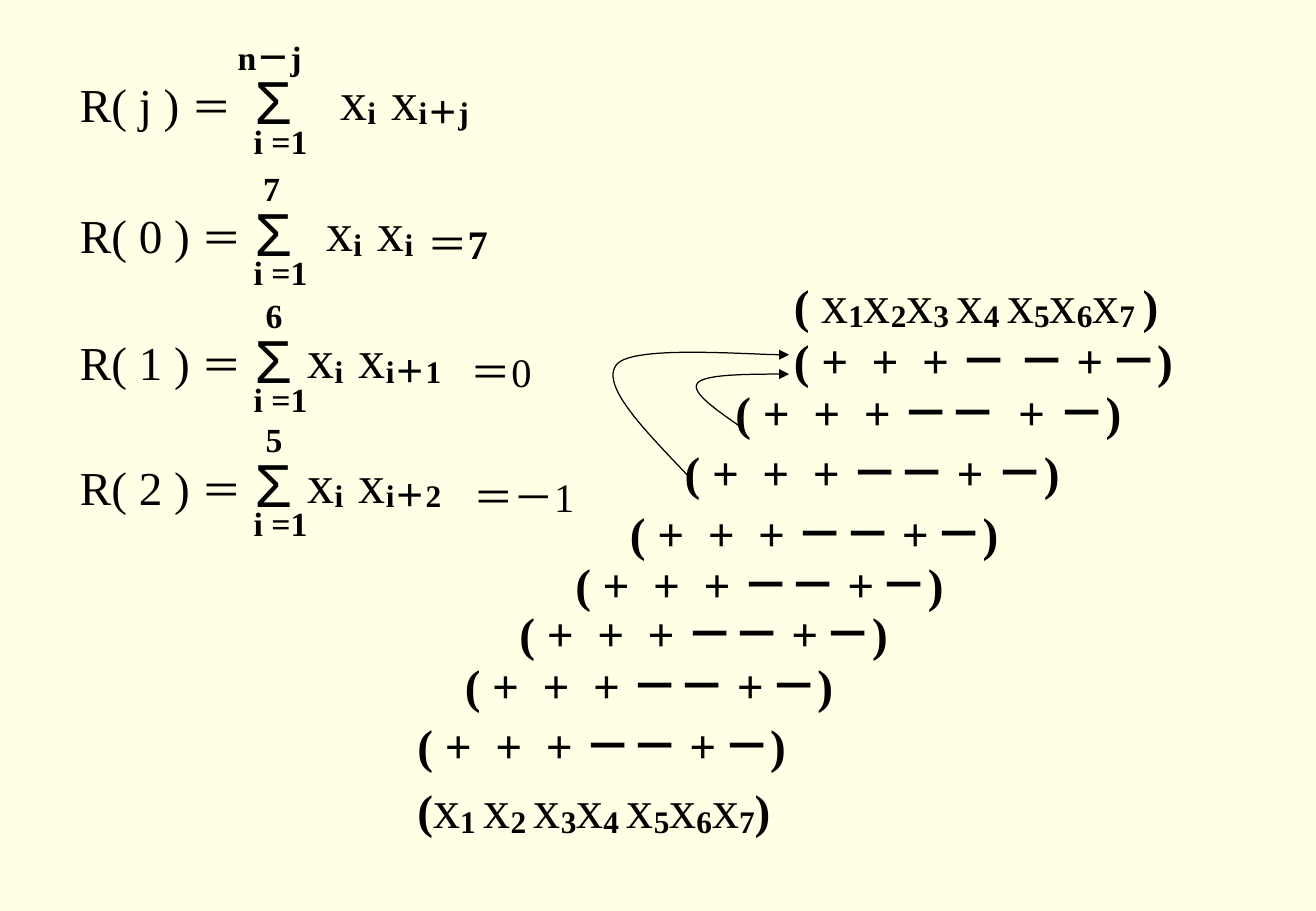
from lxml.etree import SubElement
from pptx import Presentation
from pptx.dml.color import RGBColor
from pptx.enum.text import MSO_AUTO_SIZE
from pptx.oxml.ns import qn
from pptx.util import Inches, Pt

COLORS = {"paper": "FFFFE5", "ink": "000000"}
INK = RGBColor.from_string(COLORS["ink"])
SERIF = "Times New Roman"
CELL = Inches(0.1)

deck = Presentation()
deck.slide_width = int(108.4 * CELL)
deck.slide_height = 75 * CELL
slide = deck.slides.add_slide(deck.slide_layouts[6])
slide.background.fill.solid()
slide.background.fill.fore_color.rgb = RGBColor.from_string(COLORS["paper"])


def write(parts, left, top, wide, high, size=28, bold=False, face=SERIF):
    place = [round(n * CELL) for n in (left, top, wide, high)]
    frame = slide.shapes.add_textbox(*place).text_frame
    frame.word_wrap = True
    frame.auto_size = MSO_AUTO_SIZE.SHAPE_TO_FIT_TEXT
    for part in [parts] if isinstance(parts, str) else parts:
        text, look = (part, {}) if isinstance(part, str) else part
        run = frame.paragraphs[0].add_run()
        run.text = text
        run.font.name = face
        run.font.size = Pt(look.get("size", size))
        run.font.bold = look.get("bold", bold)
        run.font.color.rgb = INK
        if look.get("sub"):
            run.font._element.set("baseline", "-8000")


def terms(marks):
    pairs = [(("x", {"size": 32, "bold": False}),
              (mark, {"size": 32, "bold": True, "sub": True})) for mark in marks]
    return [part for pair in pairs for part in pair]


rows = [
    (64.4, 26.8, "( +  +  + － － +", " "),
    (59.6, 31.1, "( +  +  + －－  +", "  "),
    (55.4, 36, "( +  +  + －－ +", "  "),
]
steps = [(50.9, 41), (46.4, 45.2), (41.8, 49.3), (37.3, 53.5), (33.4, 58.5)]
rows += [(left, top, "( +  +  + －－ +", " ") for left, top in steps]
for left, top, signs, gap in rows:
    write([signs, (gap, {"size": 16}), "－)"], left, top, 38.5, 5.7, bold=True)

heads = [
    (33.4, 63.3, "(", ["1 ", "2 ", "3", "4 ", "5", "6", "7"]),
    (64.4, 21.7, "( ", ["1", "2", "3 ", "4 ", "5", "6", "7 "]),
]
for left, top, start, marks in heads:
    write([start, *terms(marks), ")"], left, top, 38.5, 6.4, bold=True)

sums = [
    (4.8, "j", "n－j", 18.6, ["i  ", "i＋j"], 27.05),
    (15.6, "0", "7", 20.7, ["i  ", "i"], 25.9),
    (26.05, "1", "6", 20.9, ["i  ", "i＋1"], 24.35),
    (36.3, "2", "5", 20.9, ["i  ", "i＋2"], 24.35),
]
for top, lag, limit, over, marks, left in sums:
    write("Σ", 20, top, 6, 7, size=36, face="Arial")
    write("i =1", 19.9, top + 4.63, 8, 4.4, size=20, bold=True)
    write(limit, over, top - 2.3, 10, 4.4, size=20, bold=True)
    write(terms(marks), left, top + 0.2, 18, 6.4)
    write([f"R( {lag} ) ", ("＝", {"size": 24})], 5.6, top + 0.9, 18, 5.7)

write(["＝", ("7", {"bold": True})], 34.2, 17.5, 10, 5, size=24)
write("＝0", 37.8, 28.1, 10, 5, size=24)
write("＝－1", 38, 38.4, 13, 5, size=24)

curves = [
    [(60.8, 35), (58.8, 33.6), (56.8, 32.2), (57.5, 31.5),
     (58.2, 30.8), (61.6, 30.8), (65, 30.8)],
    [(56.7, 39.2), (53.1, 35.4), (49.4, 31.7), (50.8, 30),
     (52.2, 28.3), (62.6, 29.3), (65, 29.2)],
]
COUNT = 24
for knots in curves:
    trail = []
    for first in (0, 3):
        bend = knots[first:first + 4]
        for step in range(1, COUNT + 1):
            t = step / COUNT
            shares = ((1 - t) ** 3, 3 * t * (1 - t) ** 2, 3 * t * t * (1 - t), t ** 3)
            trail.append(tuple(
                round(CELL * sum(s * knot[axis] for s, knot in zip(shares, bend)))
                for axis in (0, 1)))
    pen = slide.shapes.build_freeform(*[round(n * CELL) for n in knots[0]])
    pen.add_line_segments(trail, close=False)
    arrow = pen.convert_to_shape()
    arrow.shadow.inherit = False
    arrow.fill.background()
    arrow.line.color.rgb = INK
    arrow.line.width = Pt(0.75)
    SubElement(arrow.line._get_or_add_ln(), qn("a:tailEnd"), type="triangle")

deck.save("out.pptx")
